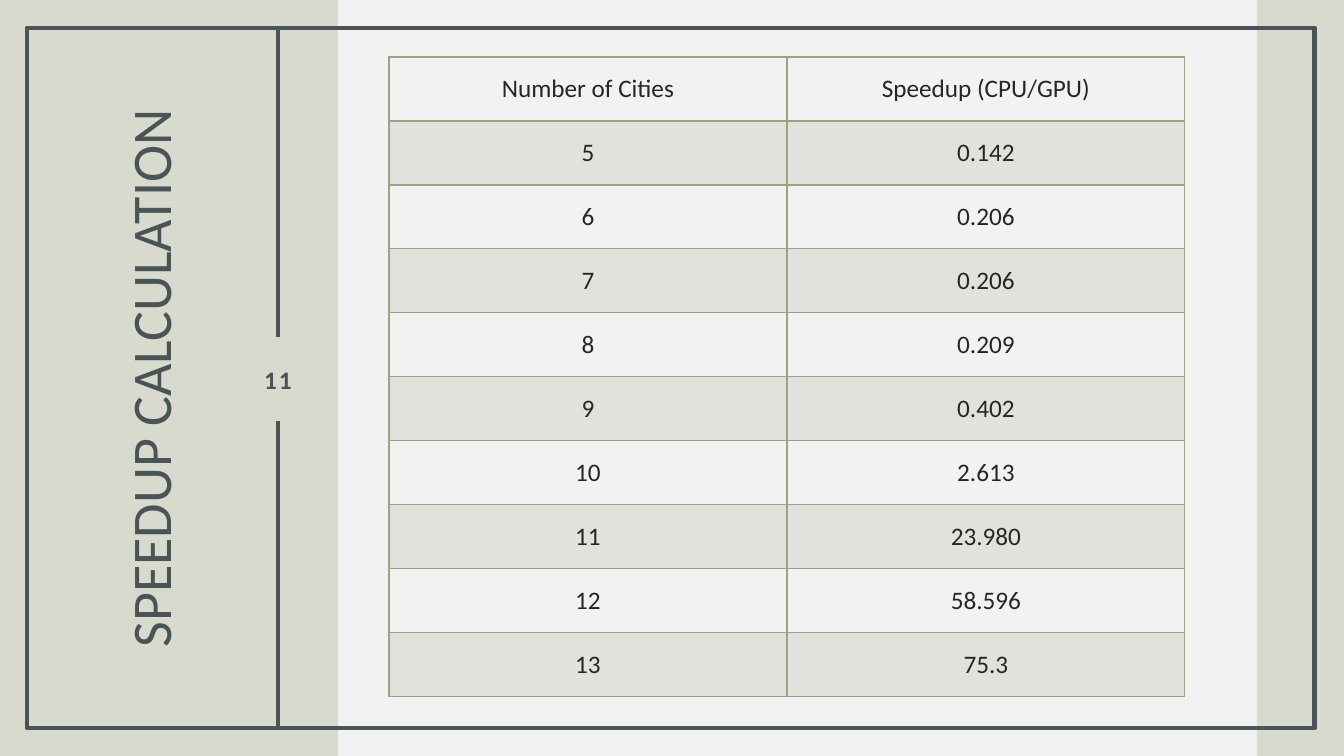
from lxml import etree
from pptx import Presentation
from pptx.dml.color import RGBColor
from pptx.enum.shapes import MSO_CONNECTOR, MSO_SHAPE
from pptx.enum.text import MSO_ANCHOR, PP_ALIGN
from pptx.oxml.ns import qn
from pptx.util import Pt

LINE = MSO_CONNECTOR.STRAIGHT
RECT = MSO_SHAPE.RECTANGLE
MID = MSO_ANCHOR.MIDDLE
CENTER = PP_ALIGN.CENTER

SCALE = 914400 / 100.8
WIDE, HIGH = 1344, 756
PAPER, SAGE, SLATE, OLIVE, INK = "F2F2F2", "D7DACD", "4A5356", "9CA383", "262626"

TITLE = "SPEEDUP CALCULATION"
NUMBER = "11"
ROWS = [
    ("Number of Cities", "Speedup (CPU/GPU)"),
    ("5", "0.142"),
    ("6", "0.206"),
    ("7", "0.206"),
    ("8", "0.209"),
    ("9", "0.402"),
    ("10", "2.613"),
    ("11", "23.980"),
    ("12", "58.596"),
    ("13", "75.3"),
]
BANDS = [(1257, 0, 87, HIGH), (0, 0, 338, HIGH)]
FRAME = (27, 28, 1288, 700)
RULES = [(28, 337, 0), (730, 421, 2)]
RULE_X = 278
TITLE_AT = (-193, 253, 692, 251)
NUMBER_AT = (241, 337, 74, 84)
LEFT, TOP, COL, ROW = 389, 57, 398, 64
TITLE_FONT = {"size": Pt(40), "name": "Calibri", "bold": False}
NUMBER_FONT = {"size": Pt(18), "name": "Calibri", "bold": True}
CELL_FONT = {"size": Pt(18), "name": "Calibri", "bold": False}


def px(*nums):
    return [round(n * SCALE) for n in nums]


def rgb(code):
    return RGBColor.from_string(code)


def write(frame, text, style, color):
    para = frame.paragraphs[0]
    para.alignment = CENTER
    run = para.add_run()
    run.text = text
    for key, value in style.items():
        setattr(run.font, key, value)
    run.font.color.rgb = rgb(color)
    return para, run


def stroke(shape):
    shape.line.color.rgb = rgb(SLATE)
    shape.line.width = Pt(3.5)


def panel(at):
    shape = slide.shapes.add_shape(RECT, *px(*at))
    shape.shadow.inherit = False
    return shape


def label(at, text, style, pads):
    box = slide.shapes.add_textbox(*px(*at))
    frame = box.text_frame
    frame.word_wrap = True
    frame.vertical_anchor = MID
    sides = ("margin_left", "margin_top", "margin_right", "margin_bottom")
    for side, pad in zip(sides, px(*pads)):
        setattr(frame, side, pad)
    return box, *write(frame, text, style, SLATE)


def border(cell, row):
    props = cell._tc.get_or_add_tcPr()
    for side in "LRTB":
        thick = (row, side) in ((0, "B"), (1, "T"))
        edge = etree.SubElement(props, qn("a:ln" + side), w=str(Pt(2 if thick else 1)))
        fill = etree.SubElement(edge, qn("a:solidFill"))
        etree.SubElement(fill, qn("a:srgbClr"), val=OLIVE)


def shade(cell, row):
    if row % 2 == 0:
        cell.fill.background()
        return
    cell.fill.solid()
    cell.fill.fore_color.rgb = rgb(OLIVE)
    tint = cell._tc.tcPr.find(".//" + qn("a:srgbClr") + "[last()]")
    tint = cell._tc.tcPr.find(qn("a:solidFill")).find(qn("a:srgbClr"))
    etree.SubElement(tint, qn("a:alpha"), val="20000")


deck = Presentation()
deck.slide_width, deck.slide_height = px(WIDE, HIGH)
slide = deck.slides.add_slide(deck.slide_layouts[6])
slide.background.fill.solid()
slide.background.fill.fore_color.rgb = rgb(PAPER)

for at in BANDS:
    band = panel(at)
    band.fill.solid()
    band.fill.fore_color.rgb = rgb(SAGE)
    band.line.fill.background()

frame = panel(FRAME)
frame.fill.background()
stroke(frame)

title, para, run = label(TITLE_AT, TITLE, TITLE_FONT, (20, 0, 20, 0))
title.rotation = 270
para.line_spacing = 0.9

badge, para, run = label(NUMBER_AT, NUMBER, NUMBER_FONT, (0, 5, 0, 5))
run._r.get_or_add_rPr().set("spc", "150")

for start, end, site in RULES:
    rule = slide.shapes.add_connector(LINE, *px(RULE_X, start, RULE_X, end))
    rule.end_connect(badge, site)
    stroke(rule)
    etree.SubElement(rule._element.spPr, qn("a:effectLst"))

count = len(ROWS)
place = px(LEFT, TOP, 2 * COL, count * ROW)
table = slide.shapes.add_table(count, 2, *place).table
table.first_row = table.horz_banding = False
for row, texts in enumerate(ROWS):
    table.rows[row].height = px(ROW)[0]
    for col, text in enumerate(texts):
        cell = table.cell(row, col)
        cell.vertical_anchor = MID
        write(cell.text_frame, text, CELL_FONT, INK)
        border(cell, row)
        shade(cell, row)

deck.save("out.pptx")
